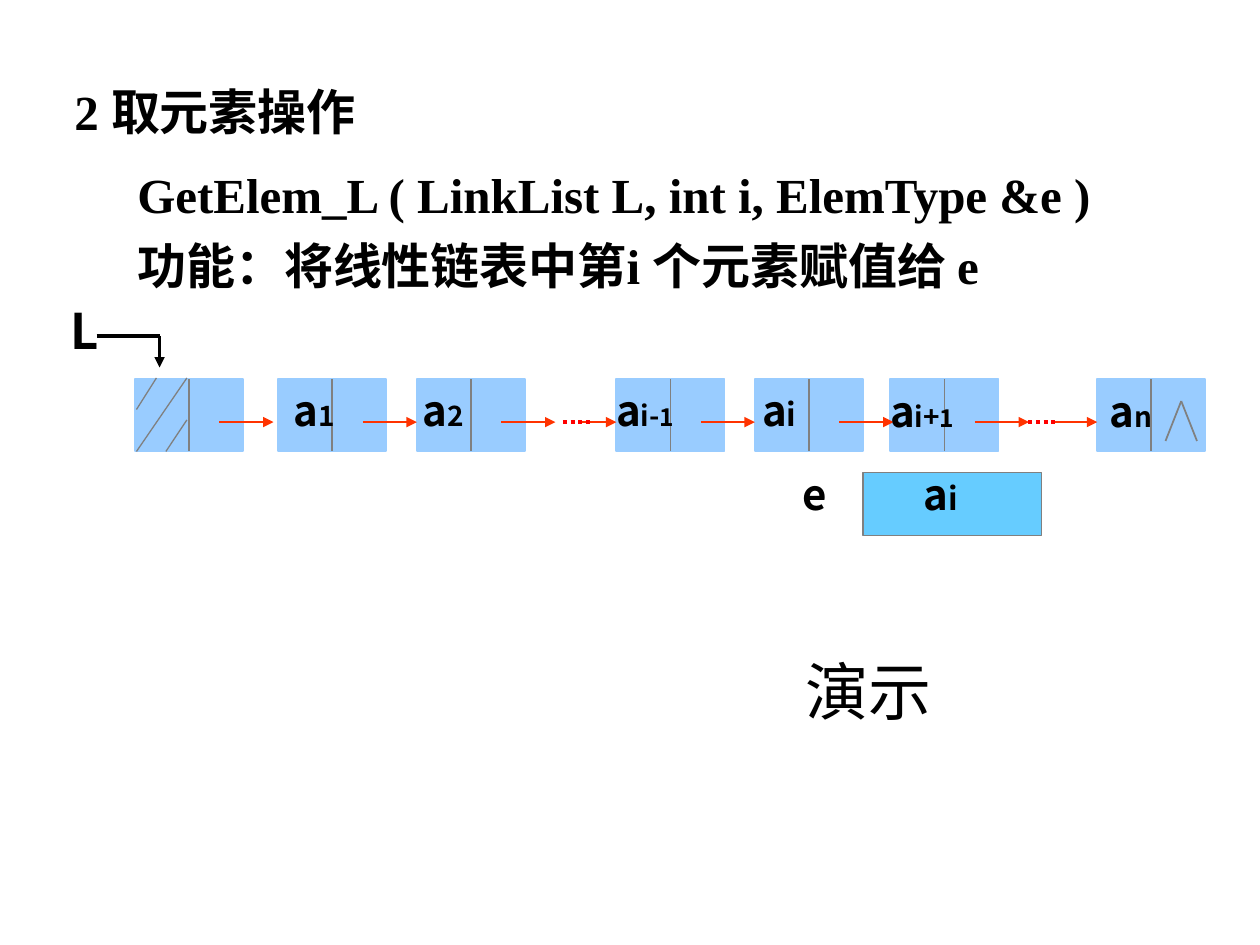
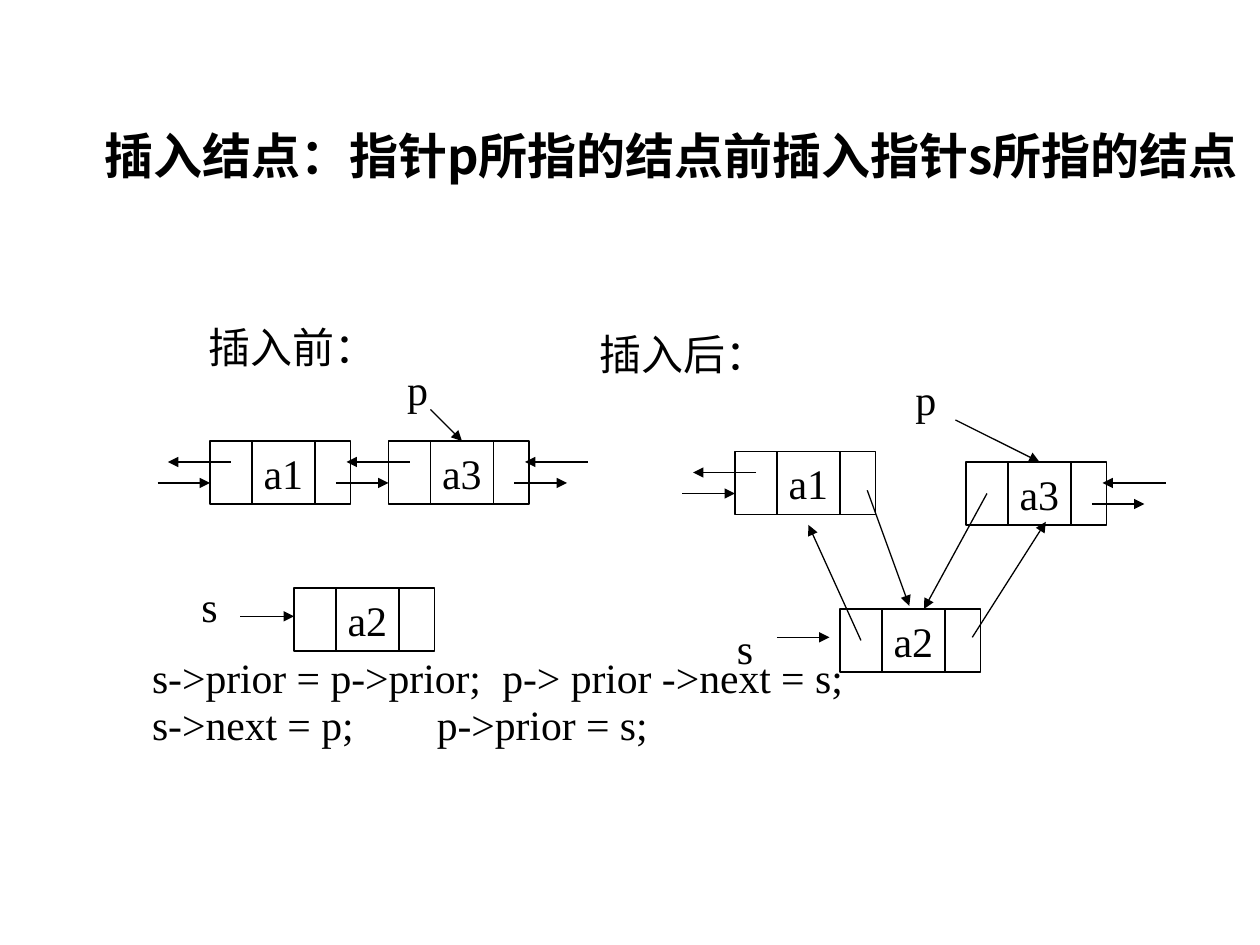
from lxml.etree import SubElement
from pptx import Presentation
from pptx.dml.color import RGBColor
from pptx.enum.dml import MSO_LINE_DASH_STYLE as Dash
from pptx.enum.shapes import MSO_CONNECTOR as Connector, MSO_SHAPE as Preset
from pptx.enum.text import MSO_ANCHOR as Anchor, MSO_AUTO_SIZE as Fit, PP_ALIGN as Align
from pptx.oxml.ns import qn
from pptx.util import Inches, Pt

COLORS = {"ink": "000000", "node": "99CCFF", "target": "66CCFF",
          "edge": "808080", "link": "FF3300", "dots": "FF0000"}
SERIF, SANS = "Times New Roman", "Noto Sans CJK SC"
HEADING = {"size": Pt(28), "bold": True}
BODY = {"size": Pt(24), "bold": False}

# Grid of 120 columns and 90 rows, twelve to the inch
COLUMNS, ROWS = 120, 90
STEP = Inches(1) / 12

# Singly linked nodes
NODE_TOP, NODE_WIDTH, NODE_HEIGHT = 36.1, 10.3, 6.85
LINK_ROW, LINK_START, LINK_LENGTH = 40.2, 8.05, 5.15
# Doubly linked nodes: prior field, data cell, next field
TRIPLE_WIDTH, CELL_OFFSET, CELL_SIZE = 13.4, 4, 6


def grid(*steps):
    return [round(step * STEP) for step in steps]


def color(name):
    return RGBColor.from_string(COLORS[name])


def write(para, spans, style, face):
    """Fill a paragraph with (text, size) spans."""
    for text, size in spans:
        span = para.add_run()
        span.text = text
        for name, value in {**style, "name": face}.items():
            setattr(span.font, name, value)
        if size:
            span.font.size = Pt(size)
        span.font.color.rgb = color("ink")
        SubElement(span._r.get_or_add_rPr(), qn("a:ea"), typeface=SANS)


def set_format(target, **values):
    for name, value in values.items():
        setattr(target, name, value)


def add_text(page, area, spans, style=BODY, face=SERIF, fit=Fit.SHAPE_TO_FIT_TEXT):
    box = page.shapes.add_textbox(*grid(*area))
    set_format(box.text_frame, word_wrap=True, auto_size=fit)
    if isinstance(spans, str):
        spans = [(spans, None)]
    write(box.text_frame.paragraphs[0], spans, style, face)
    return box.text_frame


def add_rect(page, area, line, width, fill=None):
    rect = page.shapes.add_shape(Preset.RECTANGLE, *grid(*area))
    rect.shadow.inherit = False
    if fill:
        rect.fill.solid()
        rect.fill.fore_color.rgb = color(fill)
    else:
        rect.fill.background()
    rect.line.color.rgb = color(line)
    rect.line.width = Pt(width)
    return rect


def add_line(page, ends, name="ink", width=0.75, arrow=False, dash=None):
    line = page.shapes.add_connector(Connector.STRAIGHT, *grid(*ends))
    line.line.color.rgb = color(name)
    line.line.width = Pt(width)
    if dash:
        line.line.dash_style = dash
    if arrow:
        SubElement(line.line._get_or_add_ln(), qn("a:tailEnd"), type="triangle")
    SubElement(line._element.spPr, qn("a:effectLst"))
    return line


def add_arrow(page, *ends):
    return add_line(page, ends, arrow=True)


def add_link(page, start, end):
    add_line(page, (start, LINK_ROW, end, LINK_ROW), "link", 1, arrow=True)


def add_node(page, left):
    add_rect(page, (left, NODE_TOP, NODE_WIDTH, NODE_HEIGHT), "node", 1, "node")
    middle = left + NODE_WIDTH / 2
    add_line(page, (middle, NODE_TOP, middle, NODE_TOP + NODE_HEIGHT), "edge", 1)


def add_triple(page, left, top, label):
    """Draw a three-field node and return its data cell."""
    add_rect(page, (left, top, TRIPLE_WIDTH, CELL_SIZE), "ink", 0.75)
    cell = add_rect(page, (left + CELL_OFFSET, top, CELL_SIZE, CELL_SIZE), "ink", 0.75)
    set_format(cell.text_frame, word_wrap=False, vertical_anchor=Anchor.MIDDLE)
    para = cell.text_frame.paragraphs[0]
    para.alignment = Align.CENTER
    write(para, [(label, None)], BODY, SERIF)
    return cell


def add_outer_links(page, left, top):
    """Arrows on the left side of a node: one leaving, one arriving."""
    add_arrow(page, left + 2, top + 2, left - 4, top + 2)
    add_arrow(page, left - 5, top + 4, left, top + 4)


def add_right_links(page, left, top):
    """Arrows on the right side of a node: one arriving, one leaving."""
    add_arrow(page, left + 19, top + 2, left + 13, top + 2)
    add_arrow(page, left + 12, top + 4, left + 17, top + 4)


def build_get_element(page):
    # Heading and function
    frame = add_text(page, (5.9, 6.1, 114.1, 22.6), "2 取元素操作", HEADING)
    frame.paragraphs[0].line_spacing = 1.2
    for text, gap in (("GetElem_L ( LinkList L, int i, ElemType &e )", 7),
                      ("功能：将线性链表中第i 个元素赋值给 e", 0)):
        para = frame.add_paragraph()
        para._p.get_or_add_pPr().set("marL", str(Inches(0.5)))
        set_format(para, line_spacing=1.2, space_before=Pt(gap))
        write(para, [(text, None)], HEADING, SERIF)

    # Chain: node left, label left, label row, label, link to the next node
    chain = [
        (12.85, None, None, None, True),
        (26.5, 26.8, 36, [("a", 24), ("1", 16)], True),
        (39.7, 39.1, 36, [("a", 24), ("2", 16)], True),
        (58.7, 57.5, 36, [("a", 24), ("i-", 16), ("1", 14)], True),
        (71.9, 71.4, 36, [("a", 24), ("i", 18)], True),
        (84.8, 83.6, 36.1, [("a", 24), ("i+", 16), ("1", 14)], True),
        (104.5, 104.5, 36.1, [("a", 24), ("n", 16)], False),
    ]
    for left, *_ in chain:
        add_node(page, left)
    for left, label_left, row, label, linked in chain:
        if label:
            add_text(page, (label_left, row, 10.5, 6), label, HEADING, SANS)
        if linked:
            add_link(page, left + LINK_START, left + LINK_START + LINK_LENGTH)

    # Omitted nodes
    for dots, start, end in ((53.6, 55.1, 58.7), (97.9, 100.1, 104.5)):
        add_link(page, start, end)
        add_line(page, (dots, LINK_ROW, dots + 2.9, LINK_ROW), "dots", 2.25,
                 dash=Dash.ROUND_DOT)

    # Null mark in the last node and hatching in the head node
    for foot in (111, 114):
        add_line(page, (112.5, 38.2, foot, 42), "edge", 1)
    for hatch in ((17.8, 36, 13, 43), (14.9, 36, 13, 39), (17.8, 40, 15.8, 43)):
        add_line(page, hatch, "edge")

    # Head pointer
    add_line(page, (9.2, 32, 15.2, 32), width=2.25)
    add_line(page, (15.2, 32, 15.2, 35), width=1.5, arrow=True)
    add_text(page, (5.5, 28, 11, 6.8), "L", HEADING, SANS)

    # Result variable
    add_rect(page, (82.2, 45, 17, 6), "edge", 1, "target")
    name = add_text(page, (73, 44, 9.2, 6), [("e", 24)], HEADING, SANS)
    name.paragraphs[0].alignment = Align.CENTER
    add_text(page, (86.8, 44, 10.2, 6), [("a", 24), ("i", 18)], HEADING, SANS)

    add_text(page, (75.5, 61.6, 36.2, 8.4), [("演示", 36)])


def build_insert_node(page):
    title = add_text(page, (8.8, 7, 111.2, 16.4),
                     "插入结点：指针p所指的结点前插入指针s所指的结点",
                     HEADING, SANS, Fit.NONE)
    title.vertical_anchor = Anchor.MIDDLE
    title.paragraphs[0].line_spacing = 0.83

    # Statements, in two tabbed columns
    code = add_text(page, (13.3, 62.8, 98.8, 14.3), [], BODY, SERIF, Fit.NONE)
    lines = (("s->prior = p->prior;\tp-> prior ->next = s;", 2.78, 0),
             ("s->next = p;\tp->prior = s;", 2.26, 7))
    for index, (text, stop, gap) in enumerate(lines):
        para = code.add_paragraph() if index else code.paragraphs[0]
        tabs = SubElement(para._p.get_or_add_pPr(), qn("a:tabLst"))
        SubElement(tabs, qn("a:tab"), pos=str(Inches(stop)), algn="l")
        set_format(para, line_spacing=0.7, space_before=Pt(gap))
        write(para, [(text, 23.8)], BODY, SERIF)

    # Captions and pointer names
    for text, left, top, width in (
            ("插入前：", 18.7, 30, 20), ("插入后：", 55.9, 30.7, 20),
            ("p", 37.6, 34, 4.3), ("s", 18, 54.7, 4),
            ("p", 86, 35, 4.3), ("s", 69, 58.7, 4)):
        add_text(page, (left, top, width, 6), text)

    # Before the insertion
    add_triple(page, 20, 42, "a1")
    before = add_triple(page, 37, 42, "a3")
    add_triple(page, 28, 56, "a2")
    add_outer_links(page, 20, 42)
    add_outer_links(page, 37, 42)
    add_right_links(page, 37, 42)
    add_arrow(page, 22.9, 58.7, 28, 58.7)
    add_arrow(page, 41, 39, 44, 42).end_connect(before, 0)

    # After the insertion
    add_triple(page, 70, 43, "a1")
    after = add_triple(page, 92, 44, "a3")
    add_triple(page, 80, 58, "a2")
    add_outer_links(page, 70, 43)
    add_right_links(page, 92, 44)
    add_arrow(page, 74, 60.7, 79, 60.7)
    add_arrow(page, 91, 40, 99, 44).end_connect(after, 0)
    for ends in ((82.6, 46.7, 86.6, 57.7), (92.6, 60.7, 99.6, 49.7),
                 (82, 61, 77, 50), (94, 47, 88, 58)):
        add_arrow(page, *ends)


def main():
    deck = Presentation()
    deck.slide_width, deck.slide_height = grid(COLUMNS, ROWS)
    for build in (build_get_element, build_insert_node):
        build(deck.slides.add_slide(deck.slide_layouts[6]))
    deck.save("out.pptx")


if __name__ == "__main__":
    main()
